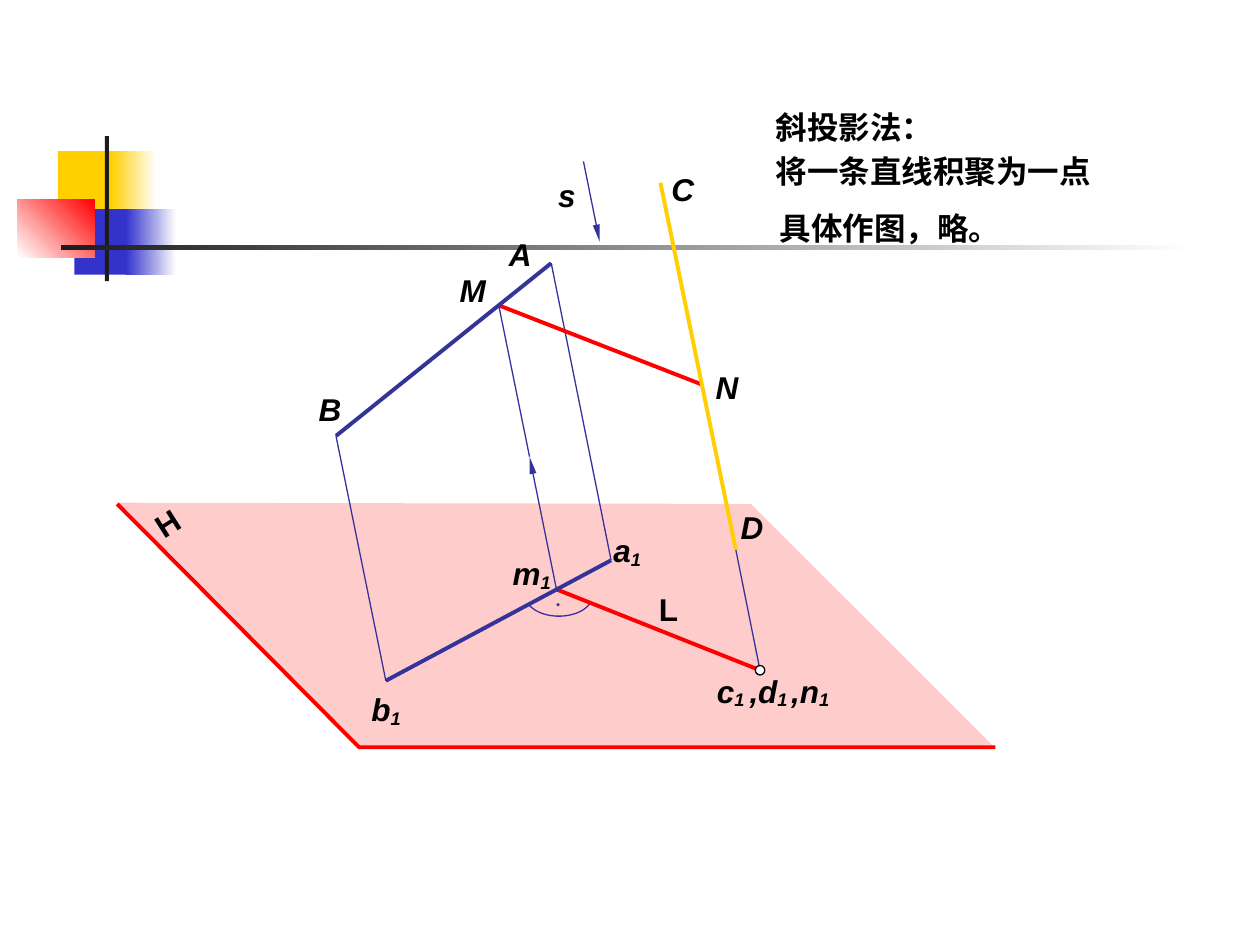
from math import cos, radians, sin

from lxml.etree import SubElement
from pptx import Presentation
from pptx.dml.color import RGBColor
from pptx.enum.shapes import MSO_CONNECTOR, MSO_SHAPE
from pptx.enum.text import MSO_AUTO_SIZE
from pptx.oxml.ns import qn
from pptx.util import Pt

RED, YELLOW, BLUE, NAVY = "FF0000", "FFCF01", "3333CC", "333399"
WHITE, BLACK, CHARCOAL = "FFFFFF", "000000", "1C1C1C"
LATIN, CHINESE = "Arial", "Noto Sans CJK SC"
THICK, THIN = 2.25, 0.75

ORNAMENT = [
    (33.1, 86.4, 34.6, 37.4, [YELLOW], 0),
    (63.4, 86.4, 25.9, 37.4, [YELLOW, WHITE], 0),
    (42.5, 119.5, 33.1, 37.4, [BLUE], 0),
    (72, 119.5, 28.8, 37.4, [BLUE, WHITE], 0),
    (10.1, 113.8, 43.9, 33.1, [WHITE, RED], 45),
    (60, 77.8, 2.2, 82.8, [CHARCOAL], 0),
    (34.6, 140.2, 648, 2.5, [CHARCOAL, WHITE], 0),
]

PLANE = [(67.7, 287.3), (205.9, 426.2), (567.4, 426.2), (429.1, 288)]
PLANE_EDGE = [(67, 288), (205.2, 427), (568.8, 427)]

POINTS = {
    "A": (315, 150.4), "B": (192, 249.1), "C": (377.4, 104.4),
    "D": (420.5, 314.3), "M": (285, 174.5), "N": (401, 219.7),
    "a1": (349.2, 320.2), "b1": (220.5, 389), "m1": (318, 336.8),
    "n1": (434.3, 383), "mid": (302.6, 261),
    "s_top": (333.4, 92.2), "s_tip": (342.7, 138.2),
}

SEGMENTS = [
    ("a1", "A", NAVY, THIN, False),
    ("M", "N", RED, THICK, False),
    ("D", "C", YELLOW, THICK, False),
    ("B", "A", NAVY, THICK, False),
    ("n1", "D", NAVY, THIN, False),
    ("b1", "B", NAVY, THIN, False),
    ("m1", "n1", RED, THICK, False),
    ("b1", "a1", NAVY, THICK, False),
    ("s_top", "s_tip", NAVY, THIN, True),
    ("m1", "mid", NAVY, THIN, True),
    ("mid", "M", NAVY, THIN, False),
]

NOTES = [
    ("将一条直线积聚为一点", 436.3, 83.5),
    ("斜投影法：", 436.3, 58.3),
    ("具体作图，略。", 438.5, 115.9),
]
UPRIGHT_LABELS = [("H", 82.1, 285.1, 23.8, 327.4), ("L", 369.4, 333.4, 22.3, 0)]
POINT_LABELS = [
    ("N", 401.8, 206.6, 24.5), ("D", 416.2, 286.6, 24.5), ("s", 311.8, 97.2, 23),
    ("M", 255.6, 151.2, 25.2), ("B", 175, 219.6, 24.5), ("A", 283.7, 131, 25.2),
    ("C", 376.6, 93.6, 23),
]
PROJECTION_LABELS = [
    (["m", "1"], 285.8, 313.2, 432.7),
    (["b", "1"], 205.2, 391, 513.4),
    (["a", "1"], 343.4, 300.2, 373.7),
    (["c", "1 ", ",d", "1"], 402.5, 380.2, 317.5),
    ([",n", "1"], 445, 380.2, 275),
]


def rgb(color):
    return RGBColor.from_string(color)


def paint(shape, colors=(), angle=0, outline=None, weight=THIN):
    shape.shadow.inherit = False
    if len(colors) == 2:
        shape.fill.gradient()
        shape.fill.gradient_angle = angle
        for stop, color in zip(shape.fill.gradient_stops, colors):
            stop.color.rgb = rgb(color)
    elif colors:
        shape.fill.solid()
        shape.fill.fore_color.rgb = rgb(colors[0])
    else:
        shape.fill.background()
    if outline:
        shape.line.color.rgb = rgb(outline)
        shape.line.width = Pt(weight)
    else:
        shape.line.fill.background()


def add_preset(shapes, preset, left, top, width, height, *colors, **style):
    shape = shapes.add_shape(preset, Pt(left), Pt(top), Pt(width), Pt(height))
    paint(shape, colors, **style)


def add_outline(shapes, corners, close, *colors, **style):
    (start_x, start_y), *rest = [(Pt(x), Pt(y)) for x, y in corners]
    builder = shapes.build_freeform(start_x, start_y)
    builder.add_line_segments(rest, close=close)
    outline = builder.convert_to_shape()
    paint(outline, colors, **style)
    return outline


def add_segment(shapes, start, end, color, weight, arrow):
    ends = [Pt(value) for value in POINTS[start] + POINTS[end]]
    segment = shapes.add_connector(MSO_CONNECTOR.STRAIGHT, *ends)
    segment.line.color.rgb = rgb(color)
    segment.line.width = Pt(weight)
    if arrow:
        SubElement(segment.line._get_or_add_ln(), qn("a:tailEnd"),
                   type="triangle", w="sm", len="lg")
    SubElement(segment._element.spPr, qn("a:effectLst"))


def add_label(shapes, parts, left, top, width, font=LATIN, italic=False, wrap=False, rotation=0):
    label = shapes.add_textbox(Pt(left), Pt(top), Pt(width), Pt(28.8))
    label.rotation = rotation
    frame = label.text_frame
    frame.word_wrap = wrap
    frame.auto_size = MSO_AUTO_SIZE.SHAPE_TO_FIT_TEXT
    for index, part in enumerate(parts):
        run = frame.paragraphs[0].add_run()
        run.text = part
        run.font.size = Pt(18)
        run.font.bold = True
        run.font.italic = italic
        run.font.color.rgb = rgb(BLACK)
        run.font.name = font
        properties = run.font._element
        SubElement(properties, qn("a:ea"), typeface=font)
        if index % 2:
            properties.set("baseline", "-11000")


def main():
    deck = Presentation()
    deck.slide_width, deck.slide_height = Pt(720), Pt(540)
    shapes = deck.slides.add_slide(deck.slide_layouts[6]).shapes

    for left, top, width, height, colors, angle in ORNAMENT:
        add_preset(shapes, MSO_SHAPE.RECTANGLE, left, top, width, height, *colors, angle=angle)

    add_outline(shapes, PLANE_EDGE, False, outline=RED, weight=THICK)
    plane = add_outline(shapes, PLANE, True, RED)
    plane_color = plane._element.spPr.find(qn("a:solidFill"))[0]
    SubElement(plane_color, qn("a:alpha"), val="20000")

    right_angle = [(319.4 + 19 * cos(radians(a)), 340.6 + 11.5 * sin(radians(a)))
                   for a in range(22, 159, 4)]
    add_outline(shapes, right_angle, False, outline=NAVY)
    add_preset(shapes, MSO_SHAPE.OVAL, 318.2, 344.9, 1.4, 1.4, NAVY, outline=NAVY, weight=0.25)

    for segment in SEGMENTS:
        add_segment(shapes, *segment)
    add_preset(shapes, MSO_SHAPE.OVAL, 431.6, 380.3, 5.4, 5.4, WHITE, outline=BLACK)

    for note, left, top in NOTES:
        add_label(shapes, [note], left, top, 283.7, font=CHINESE, wrap=True)
    for letter, left, top, width, rotation in UPRIGHT_LABELS:
        add_label(shapes, [letter], left, top, width, rotation=rotation)
    for letter, left, top, width in POINT_LABELS:
        add_label(shapes, [letter], left, top, width, italic=True)
    for parts, left, top, width in PROJECTION_LABELS:
        add_label(shapes, parts, left, top, width, italic=True, wrap=True)

    deck.save("out.pptx")


if __name__ == "__main__":
    main()
